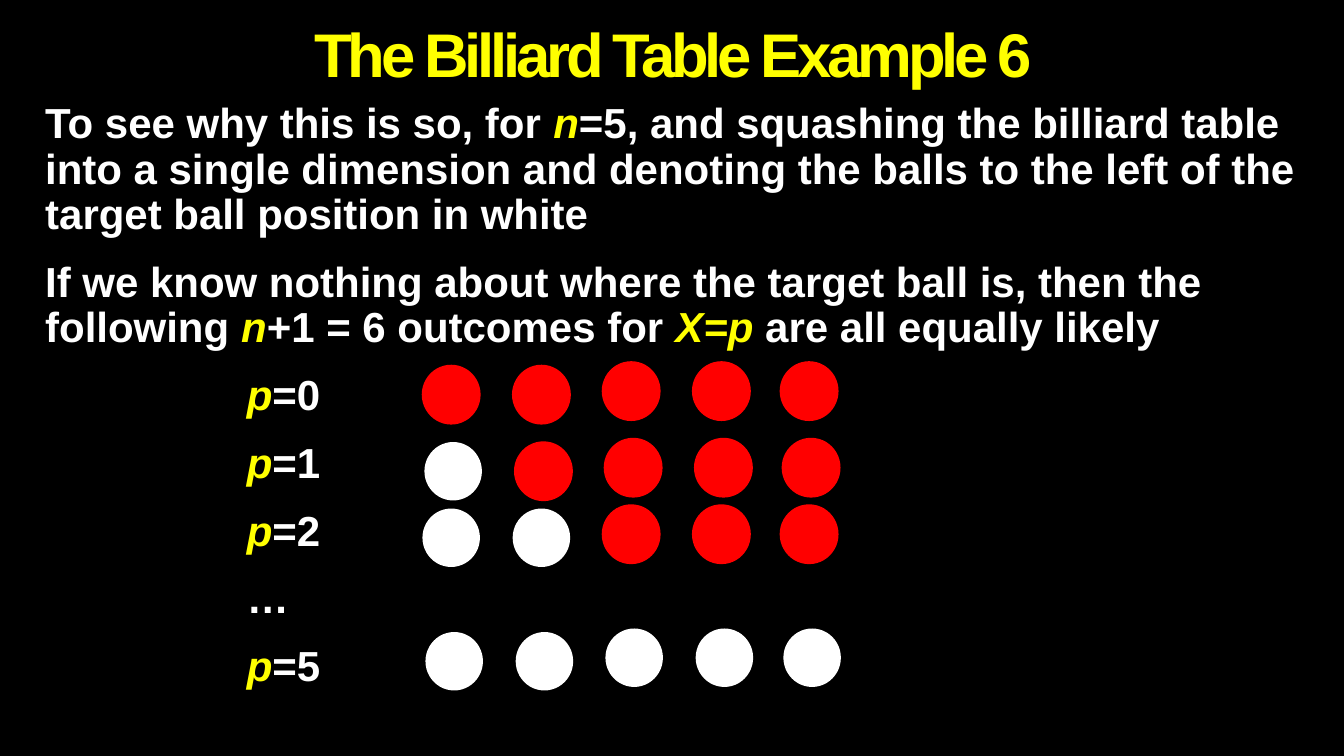
from lxml.etree import SubElement
from pptx import Presentation
from pptx.dml.color import RGBColor
from pptx.enum.shapes import MSO_SHAPE as Shape
from pptx.enum.text import MSO_ANCHOR as Anchor, PP_ALIGN as Align
from pptx.oxml.ns import qn
from pptx.util import Inches, Pt

COLUMNS, ROWS = 133.3, 75
BLACK, WHITE, YELLOW, RED = "000000", "FFFFFF", "FFFF00", "FF0000"


def color(value):
    return RGBColor.from_string(value)


def apply(target, values):
    for name, value in values.items():
        setattr(target, name, value)


class Board:
    font = {"name": "Arial", "bold": True}
    spacing = {"line_spacing": 0.9}

    def __init__(self, deck):
        self.deck = deck
        self.page = deck.slides.add_slide(deck.slide_layouts[6])
        fill = self.page.background.fill
        fill.solid()
        fill.fore_color.rgb = color(BLACK)

    def place(self, left, top, width, height):
        across = self.deck.slide_width / COLUMNS
        down = self.deck.slide_height / ROWS
        return [round(left * across), round(top * down),
                round(width * across), round(height * down)]

    def text(self, area, paragraphs, size, layout, frame, tracking=0):
        box = self.page.shapes.add_textbox(*self.place(*area)).text_frame
        apply(box, frame)
        for index, (indent, spans) in enumerate(paragraphs):
            para = box.paragraphs[0] if index == 0 else box.add_paragraph()
            apply(para, self.spacing | layout)
            if indent:
                margins = para._p.get_or_add_pPr()
                margins.set("marL", str(Inches(indent)))
                margins.set("indent", "0")
            for words, tone, italic in spans:
                span = para.add_run()
                span.text = words
                apply(span.font, self.font | {"size": Pt(size), "italic": italic})
                span.font.color.rgb = color(tone)
                if tracking:
                    span._r.get_or_add_rPr().set("spc", str(tracking * 100))

    def ball(self, group, area, tone, outlined):
        ball = group.shapes.add_shape(Shape.OVAL, *self.place(*area))
        ball.shadow.inherit = False
        ball.fill.solid()
        ball.fill.fore_color.rgb = color(tone)
        if outlined:
            ball.line.color.rgb = color(tone)
            ball.line.width = Pt(1)
        else:
            ball.line.fill.background()

    def ball_row(self, left, top, white_count):
        group = self.page.shapes.add_group_shape()
        for index, (offset, drop) in enumerate(BALL_OFFSETS):
            red = index >= white_count
            area = (left + offset, top + drop, *BALL_SIZE)
            self.ball(group, area, RED if red else WHITE, red)


def plain(words):
    return words, WHITE, False


def variable(words):
    return words, YELLOW, True


def outcome(count):
    return 2, [variable("p"), plain(f"={count}")]


BALL_SIZE = 5.7, 5.8
BALL_OFFSETS = [(0, 0.35), (8.95, 0.35), (17.85, 0), (26.8, 0), (35.5, 0)]
OUTCOME_ROWS = [(41.9, 35.9, 0), (42.1, 43.5, 1), (41.9, 50.1, 2), (42.2, 62.35, 5)]

EXPLANATION = [
    (0, [plain("To see why this is so, for "), variable("n"),
         plain("=5, and squashing the billiard table into a single dimension and "
               "denoting the balls to the left of the target ball position in white")]),
    (0, [plain("If we know nothing about where the target ball is, then the following "),
         variable("n"), plain("+1 = 6 outcomes for "), variable("X=p"),
         plain(" are all equally likely")]),
    *map(outcome, range(3)),
    (2, [plain("…")]),
    outcome(5),
]

deck = Presentation()
deck.slide_width, deck.slide_height = Inches(13.33), Inches(7.5)
board = Board(deck)
board.text((16.8, 1.7, 100, 8.1),
           [(0, [("The Billiard Table Example 6", YELLOW, False)])], 44,
           {"alignment": Align.CENTER},
           {"word_wrap": False, "vertical_anchor": Anchor.MIDDLE}, tracking=-3)
board.text((3.5, 9.7, 126.6, 32.3), EXPLANATION, 30,
           {"space_before": Pt(10), "space_after": Pt(6)},
           {"word_wrap": True, "vertical_anchor": Anchor.TOP})
for left, top, white_count in OUTCOME_ROWS:
    board.ball_row(left, top, white_count)
deck.save("out.pptx")
